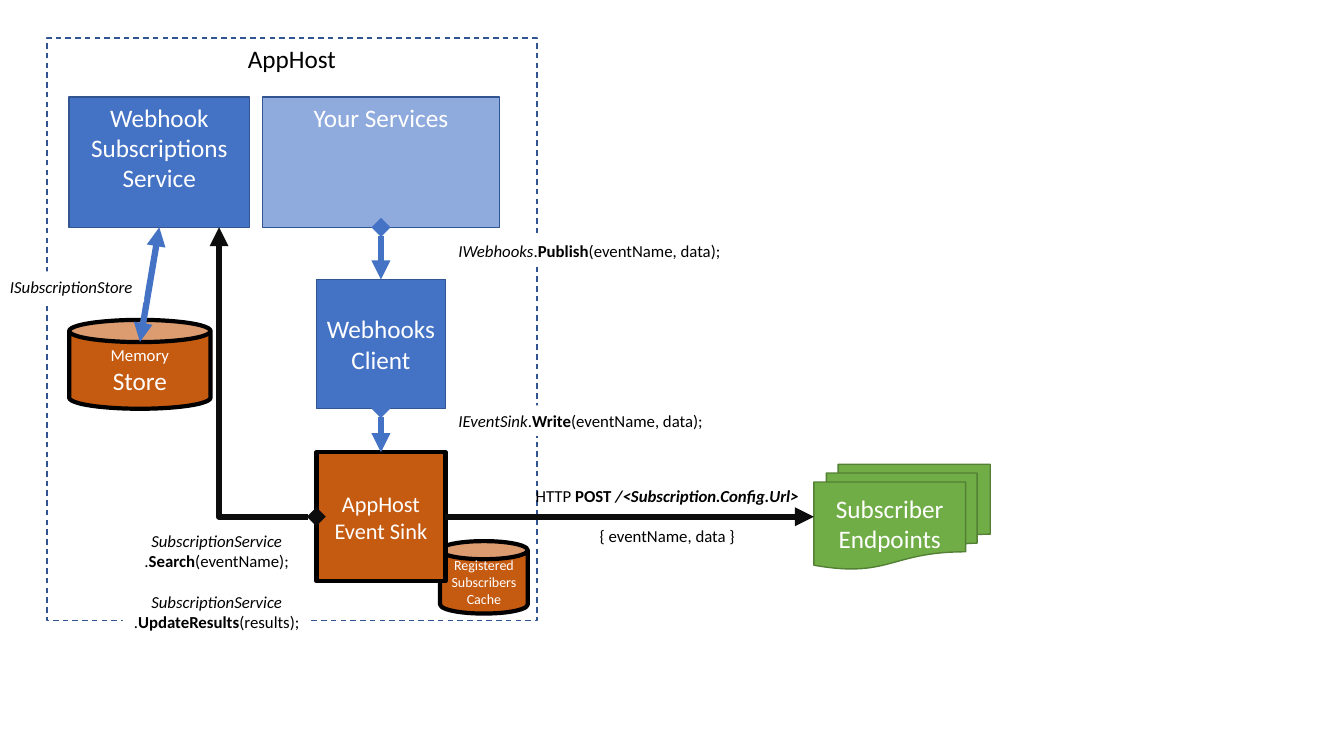
"""Draw the AppHost webhooks architecture slide."""
from dataclasses import dataclass

from pptx import Presentation
from pptx.dml.color import RGBColor
from pptx.enum.dml import MSO_LINE
from pptx.enum.shapes import MSO_CONNECTOR, MSO_SHAPE
from pptx.enum.text import MSO_ANCHOR, MSO_AUTO_SIZE, PP_ALIGN
from pptx.oxml.ns import qn
from pptx.oxml.xmlchemy import OxmlElement
from pptx.shapes.autoshape import Shape
from pptx.shapes.connector import Connector
from pptx.slide import Slide
from pptx.text.text import TextFrame
from pptx.util import Pt

WHITE = RGBColor(0xFF, 0xFF, 0xFF)
BLACK = RGBColor(0x00, 0x00, 0x00)
INK = RGBColor(0x0D, 0x0D, 0x0D)
BLUE = RGBColor(0x44, 0x72, 0xC4)
PALE_BLUE = RGBColor(0x8F, 0xAA, 0xDC)
DARK_BLUE = RGBColor(0x32, 0x54, 0x91)
ORANGE = RGBColor(0xC5, 0x5A, 0x11)
GREEN = RGBColor(0x70, 0xAD, 0x47)
DARK_GREEN = RGBColor(0x53, 0x80, 0x35)

FONT = "Calibri"
TOP, LEFT, BOTTOM, RIGHT = range(4)
SINK_Y = 369.1
BLANK_LINE = 14.4


@dataclass(frozen=True)
class Run:
    text: str
    size: float = 12
    bold: bool = False
    italic: bool = False


@dataclass(frozen=True)
class Para:
    runs: tuple[Run, ...]
    before: float = 0


@dataclass(frozen=True)
class Node:
    key: str
    kind: MSO_SHAPE
    box: tuple[float, float, float, float]
    fill: RGBColor
    line: RGBColor
    width: float
    paras: tuple[Para, ...]
    anchor: MSO_ANCHOR = MSO_ANCHOR.MIDDLE


@dataclass(frozen=True)
class Link:
    begin: tuple[float, float]
    end: tuple[float, float]
    color: RGBColor
    head: str = ""
    source: tuple[str, int] | None = None
    target: tuple[str, int] | None = None
    kind: MSO_CONNECTOR = MSO_CONNECTOR.STRAIGHT


@dataclass(frozen=True)
class Label:
    box: tuple[float, float, float, float]
    paras: tuple[Para, ...]
    align: PP_ALIGN = PP_ALIGN.LEFT
    filled: bool = True
    wrap: bool = False


def lines(size: float, *texts: str) -> tuple[Para, ...]:
    return tuple(Para((Run(text, size),)) for text in texts)


def call(owner: str, method: str, args: str) -> tuple[Run, ...]:
    head = (Run(owner, italic=True),) if owner else ()
    return head + (Run("."), Run(method, bold=True), Run(args))


NODES = (
    Node("cache", MSO_SHAPE.CAN, (314.4, 386.5, 62.6, 51.8), ORANGE, BLACK, 3,
         lines(10, "Registered", "Subscribers", "Cache")),
    Node("subscriptions", MSO_SHAPE.RECTANGLE, (49.4, 69.3, 128.8, 93.1), BLUE, DARK_BLUE, 1,
         lines(18, "Webhook", "Subscriptions", "Service"), MSO_ANCHOR.TOP),
    Node("services", MSO_SHAPE.RECTANGLE, (187.5, 69.3, 169.2, 93.1), PALE_BLUE, DARK_BLUE, 1,
         lines(18, "Your Services"), MSO_ANCHOR.TOP),
    Node("store", MSO_SHAPE.CAN, (49.4, 228.5, 101, 63.5), ORANGE, BLACK, 3,
         lines(12, "Memory") + lines(18, "Store")),
    Node("client", MSO_SHAPE.RECTANGLE, (226, 199.6, 92.2, 92.2), BLUE, DARK_BLUE, 1,
         lines(18, "Webhooks", "Client")),
    Node("sink", MSO_SHAPE.RECTANGLE, (226, 323, 92.2, 92.2), ORANGE, BLACK, 3,
         lines(16, "AppHost", "Event Sink")),
    Node("endpoints", MSO_SHAPE.FLOWCHART_MULTIDOCUMENT, (581.3, 331.6, 126, 75), GREEN,
         DARK_GREEN, 1, lines(18, "Subscriber Endpoints")),
)

LINKS = (
    Link((318.2, SINK_Y), (581.3, SINK_Y), INK, "", ("sink", RIGHT), ("endpoints", LEFT)),
    Link((113.8, 162.4), (100, 244.2), BLUE, "triangle", ("subscriptions", BOTTOM)),
    Link((272.1, 162.4), (272.1, 199.6), BLUE, "diamond", ("services", BOTTOM), ("client", TOP)),
    Link((272.1, 291.8), (272.1, 323), BLUE, "diamond", ("client", BOTTOM), ("sink", TOP)),
    Link((226, SINK_Y), (156.5, 162.4), INK, "diamond", kind=MSO_CONNECTOR.ELBOW),
)

LABELS = (
    Label((370.8, 343.4, 211.7, 51),
          (Para((Run("HTTP "), Run("POST ", bold=True),
                 Run("/<Subscription.Config.Url>", bold=True, italic=True))),
           Para((Run("{ eventName, data }"),), BLANK_LINE)),
          PP_ALIGN.CENTER, filled=False, wrap=True),
    Label((320.4, 168.6, 203.8, 21.8),
          (Para(call("IWebhooks", "Publish", "(eventName, data);")),)),
    Label((320.4, 289.6, 190.8, 21.8),
          (Para(call("IEventSink", "Write", "(eventName, data);")),)),
    Label((87.8, 375.8, 134, 80),
          (Para((Run("SubscriptionService", italic=True),)),
           Para(call("", "Search", "(eventName);")),
           Para((Run("SubscriptionService", italic=True),), BLANK_LINE),
           Para(call("", "UpdateResults", "(results);"))),
          PP_ALIGN.CENTER),
    Label((0, 193.8, 103, 21.8), (Para((Run("ISubscriptionStore", italic=True),)),)),
)


def write(tf: TextFrame, paras: tuple[Para, ...], color: RGBColor, align: PP_ALIGN) -> None:
    for i, para in enumerate(paras):
        p = tf.add_paragraph() if i else tf.paragraphs[0]
        p.alignment = align
        p.line_spacing = 1.0
        p.space_before = Pt(para.before)
        for run in para.runs:
            r = p.add_run()
            r.text = run.text
            r.font.name = FONT
            r.font.size = Pt(run.size)
            r.font.bold = run.bold
            r.font.italic = run.italic
            r.font.color.rgb = color


def draw_frame(s: Slide) -> None:
    sp = s.shapes.title
    s.shapes._spTree.append(sp._element)
    sp.left, sp.top, sp.width, sp.height = Pt(33.5), Pt(27.2), Pt(350), Pt(416)
    sp.line.color.rgb = DARK_BLUE
    sp.line.width = Pt(1)
    sp.line.dash_style = MSO_LINE.DASH
    tf = sp.text_frame
    tf.auto_size = MSO_AUTO_SIZE.NONE
    tf.vertical_anchor = MSO_ANCHOR.TOP
    write(tf, lines(18, "AppHost"), BLACK, PP_ALIGN.CENTER)


def draw_node(s: Slide, node: Node) -> Shape:
    sp = s.shapes.add_shape(node.kind, *map(Pt, node.box))
    sp.shadow.inherit = False
    sp.fill.solid()
    sp.fill.fore_color.rgb = node.fill
    sp.line.color.rgb = node.line
    sp.line.width = Pt(node.width)
    tf = sp.text_frame
    tf.word_wrap = True
    tf.vertical_anchor = node.anchor
    write(tf, node.paras, WHITE, PP_ALIGN.CENTER)
    return sp


def draw_link(s: Slide, link: Link, shapes: dict[str, Shape]) -> Connector:
    cxn = s.shapes.add_connector(link.kind, *map(Pt, link.begin + link.end))
    cxn.line.color.rgb = link.color
    cxn.line.width = Pt(4.5)
    if link.source:
        cxn.begin_connect(shapes[link.source[0]], link.source[1])
    if link.target:
        cxn.end_connect(shapes[link.target[0]], link.target[1])
    props = cxn._element.spPr
    if link.kind == MSO_CONNECTOR.ELBOW:
        props.find(qn("a:prstGeom")).set("prst", "bentConnector2")
    for tag, style in (("a:headEnd", link.head), ("a:tailEnd", "triangle")):
        if style:
            end = OxmlElement(tag)
            end.set("type", style)
            props.find(qn("a:ln")).append(end)
    props.append(OxmlElement("a:effectLst"))
    return cxn


def draw_label(s: Slide, label: Label) -> Shape:
    sp = s.shapes.add_textbox(*map(Pt, label.box))
    if label.filled:
        sp.fill.solid()
        sp.fill.fore_color.rgb = WHITE
    sp.text_frame.word_wrap = label.wrap
    write(sp.text_frame, label.paras, BLACK, label.align)
    return sp


def main() -> None:
    prs = Presentation()
    prs.slide_width, prs.slide_height = Pt(960), Pt(540)
    s = prs.slides.add_slide(prs.slide_layouts[5])
    shapes = {node.key: draw_node(s, node) for node in NODES}
    draw_frame(s)
    for link in LINKS:
        draw_link(s, link, shapes)
    for label in LABELS:
        draw_label(s, label)
    prs.save("out.pptx")


if __name__ == "__main__":
    main()
